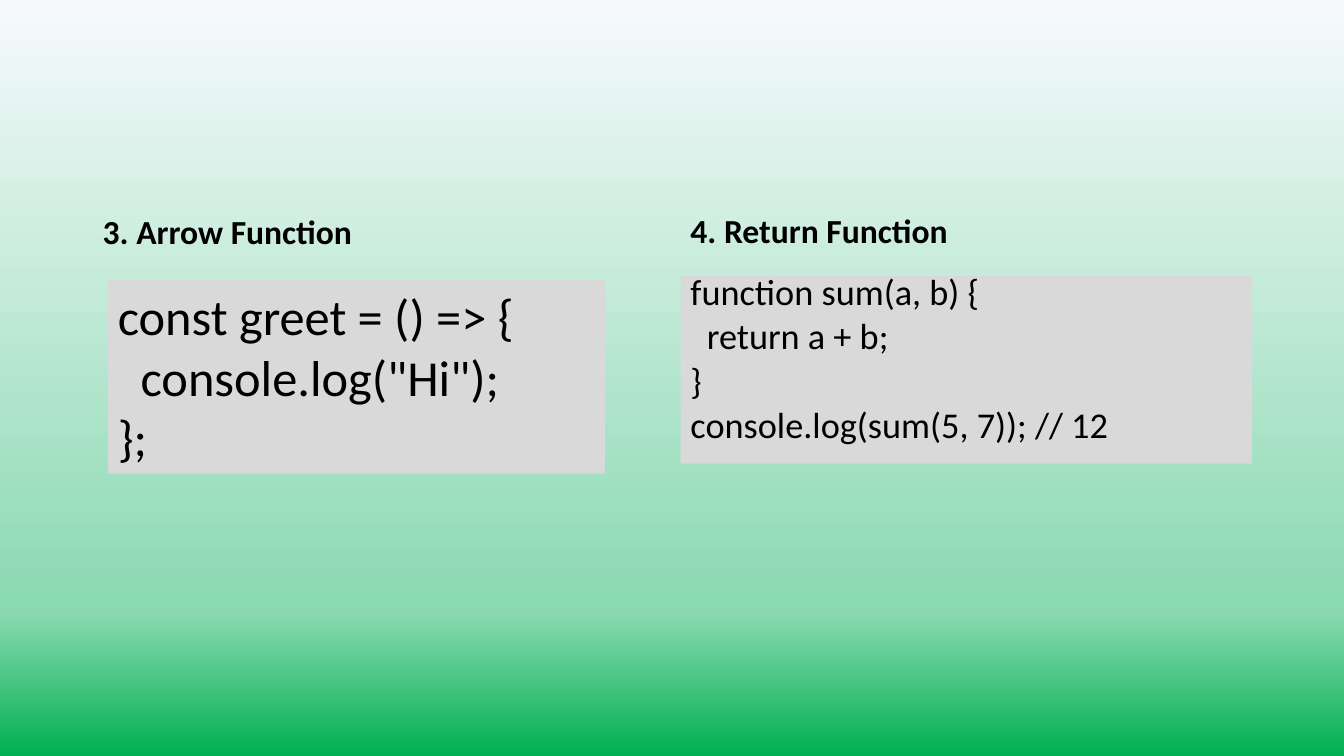
import copy

import pptx
import pptx.dml.color
import pptx.enum.shapes
import pptx.enum.text
import pptx.util

COLORS = {"text": "000000", "panel": "D9D9D9", "sky": "F7FAFD", "mint": "8AD9B1", "green": "00B050"}
GRADIENT = [(0, "sky"), (0.81, "mint"), (1, "green")]

ANCHOR = pptx.enum.text.MSO_ANCHOR
HEADINGS = [
    {"place": (0.92, 2.04, 5.51, 0.5), "lines": ["3. Arrow Function"], "size": 24,
     "bold": True, "anchor": ANCHOR.MIDDLE},
    {"place": (6.75, 2.04, 5.67, 0.5), "lines": ["4. Return Function"], "size": 24,
     "bold": True, "anchor": ANCHOR.BOTTOM, "spacing": 0.9},
]
CODE_PANELS = [
    {"place": (1.07, 2.78, 4.93, 1.92), "size": 36,
     "lines": ["const greet = () => {", '  console.log("Hi");', "};"]},
    {"place": (6.75, 2.74, 5.67, 1.86), "size": 25.9, "spacing": 0.7, "before": 10,
     "lines": ["function sum(a, b) {", "  return a + b;", "}", "console.log(sum(5, 7)); // 12"]},
]


def color(name):
    return pptx.dml.color.RGBColor.from_string(COLORS[name])


def apply_format(target, values):
    for name, value in values.items():
        setattr(target, name, value)


def paint_background(page):
    fill = page.background.fill
    fill.gradient()
    fill.gradient_angle = 270
    stop_list = page.element.xpath(".//a:gsLst")[0]
    stop_list.append(copy.deepcopy(stop_list[-1]))
    for stop, (position, name) in zip(fill.gradient_stops, GRADIENT):
        stop.position = position
        stop.color.rgb = color(name)


def write_lines(box, item):
    frame = box.text_frame
    apply_format(frame, {"word_wrap": True, "vertical_anchor": item.get("anchor", ANCHOR.TOP)})
    for index, line in enumerate(item["lines"]):
        para = frame.paragraphs[0] if index == 0 else frame.add_paragraph()
        apply_format(para, {
            "alignment": pptx.enum.text.PP_ALIGN.LEFT,
            "line_spacing": item.get("spacing", 1.0),
            "space_before": pptx.util.Pt(item.get("before", 0) if index else 0),
        })
        span = para.add_run()
        span.text = line
        apply_format(span.font, {"name": "Calibri", "size": pptx.util.Pt(item["size"]),
                                 "bold": item.get("bold", False)})
        span.font.color.rgb = color("text")


def main():
    deck = pptx.Presentation()
    apply_format(deck, {"slide_width": pptx.util.Inches(13.33), "slide_height": pptx.util.Inches(7.5)})
    page = deck.slides.add_slide(deck.slide_layouts[6])
    paint_background(page)
    for item in HEADINGS:
        box = page.shapes.add_textbox(*map(pptx.util.Inches, item["place"]))
        write_lines(box, item)
    for item in CODE_PANELS:
        panel = page.shapes.add_shape(pptx.enum.shapes.MSO_SHAPE.RECTANGLE,
                                      *map(pptx.util.Inches, item["place"]))
        panel.shadow.inherit = False
        panel.fill.solid()
        panel.fill.fore_color.rgb = color("panel")
        panel.line.fill.background()
        write_lines(panel, item)
    deck.save("out.pptx")


if __name__ == "__main__":
    main()
